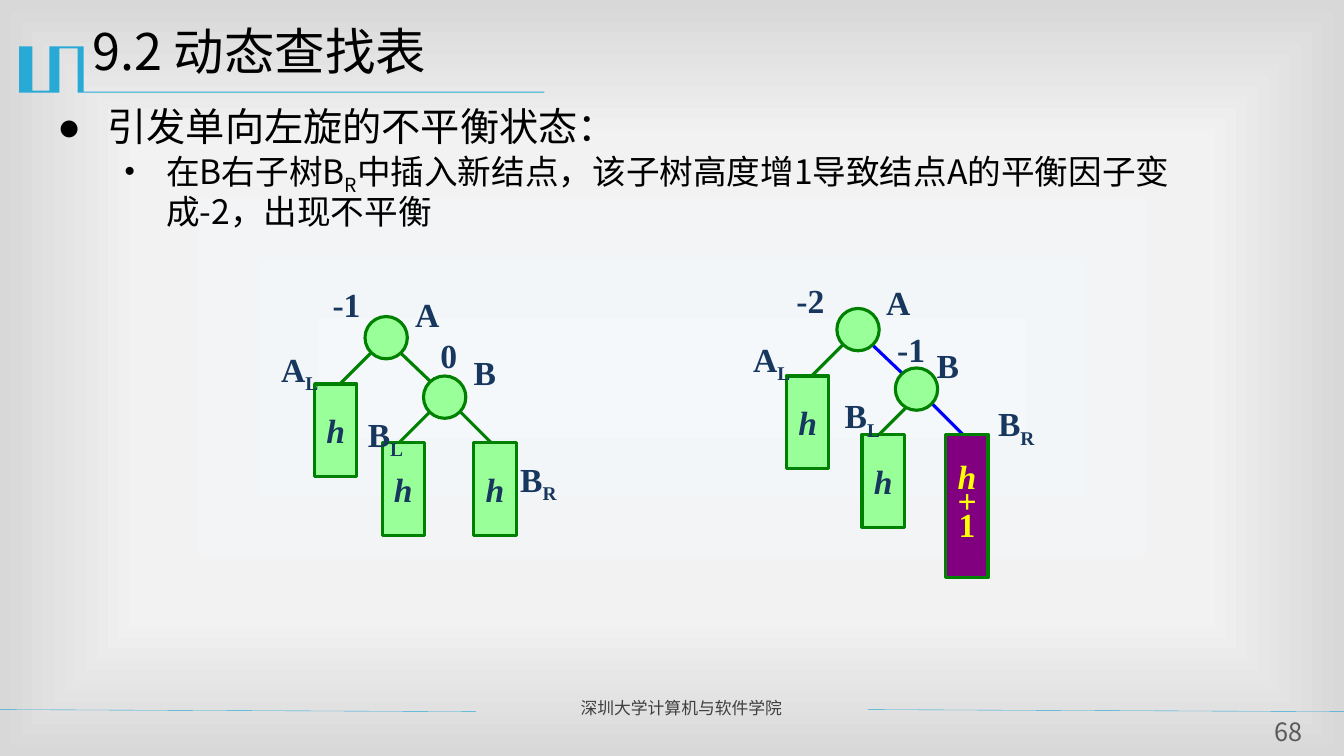
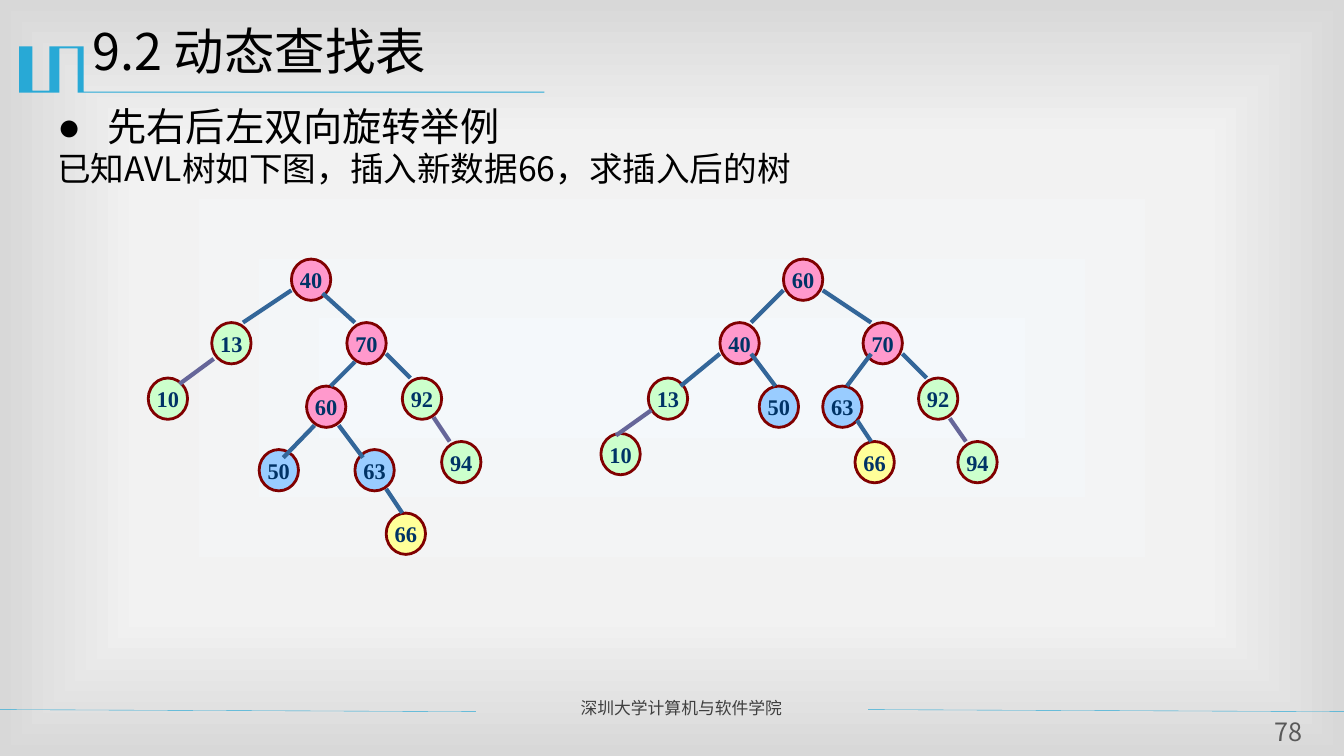
from lxml import etree
from pptx import Presentation
from pptx.dml.color import RGBColor
from pptx.enum.shapes import MSO_CONNECTOR, MSO_SHAPE
from pptx.enum.text import MSO_ANCHOR, PP_ALIGN
from pptx.oxml import parse_xml
from pptx.oxml.ns import nsdecls, qn
from pptx.util import Pt

RECT, OVAL, STRAIGHT = MSO_SHAPE.RECTANGLE, MSO_SHAPE.OVAL, MSO_CONNECTOR.STRAIGHT
CENTER, MIDDLE = PP_ALIGN.CENTER, MSO_ANCHOR.MIDDLE

PX = 9144  # 100 px to the inch
SANS, SERIF = "Noto Sans CJK SC", "Times New Roman"
ACCENT, BLACK, NAVY, INK = "28A9D6", "000000", "17375E", "003366"
GREEN, LIGHT_GREEN, BLUE, PURPLE, YELLOW = "008000", "99FF99", "0000FF", "800080", "FFFF00"
MAROON, STEEL, SLATE = "800000", "336699", "666699"
PINK, MINT, SKY, LEMON = "FF99CC", "CCFFCC", "99CCFF", "FFFF99"
BACKDROP = [(0, "F4F8FB"), (63000, "F2F2F2"), (100000, "D8D8D8")]
ORNAMENT = [(82, 46), (83, 46), (83, 91), (540, 91), (540, 92), (77, 92), (77, 48), (59, 48),
            (59, 92), (19, 92), (19, 46), (32, 46), (32, 90), (49, 90), (49, 46)]
SUB = {"sub": True}


def rgb(value):
    return RGBColor.from_string(value)


def write(frame, paragraphs, size=24, font=SERIF, color=NAVY, bold=False, italic=False,
          align=None, spacing=None):
    """Fill a frame; a paragraph is a list of strings or (text, overrides) pairs."""
    for index, runs in enumerate(paragraphs):
        paragraph = frame.paragraphs[0] if index == 0 else frame.add_paragraph()
        paragraph.alignment = align
        paragraph.line_spacing = spacing
        for item in runs:
            text, changes = (item, {}) if isinstance(item, str) else item
            run = paragraph.add_run()
            run.text = text
            run.font.size = Pt(changes.get("size", size))
            run.font.bold = bold
            run.font.italic = changes.get("italic", italic)
            run.font.color.rgb = rgb(color)
            run.font.name = font
            properties = run._r.get_or_add_rPr()
            etree.SubElement(properties, qn("a:ea")).set("typeface", font)
            if changes.get("sub"):
                properties.set("baseline", "-25000")


def add_bullet(paragraph, char, left, hanging):
    properties = paragraph._p.get_or_add_pPr()
    properties.set("marL", str(left * PX))
    properties.set("indent", str(-hanging * PX))
    etree.SubElement(properties, qn("a:buFont")).set("typeface", SERIF)
    etree.SubElement(properties, qn("a:buChar")).set("char", char)


class Deck:
    def __init__(self):
        self.prs = Presentation()
        self.prs.slide_width, self.prs.slide_height = 1333 * PX, 750 * PX
        self.slide = None
        self.set_backdrop()

    def set_backdrop(self):
        master = self.prs.slide_master
        master.background.fill.solid()
        solid = master.element.xpath(".//p:bgPr/a:solidFill")[0]
        stops = "".join(f'<a:gs pos="{pos}"><a:srgbClr val="{color}"/></a:gs>'
                        for pos, color in BACKDROP)
        solid.getparent().replace(solid, parse_xml(
            f'<a:gradFill {nsdecls("a")} rotWithShape="1"><a:gsLst>{stops}</a:gsLst>'
            '<a:path path="rect"><a:fillToRect l="50000" t="50000" r="50000" b="50000"/>'
            '</a:path></a:gradFill>'))

    def new_slide(self, title, number):
        self.slide = self.prs.slides.add_slide(self.prs.slide_layouts[6])
        builder = self.slide.shapes.build_freeform(*ORNAMENT[0], scale=PX)
        builder.add_line_segments(ORNAMENT[1:], close=True)
        self.paint(builder.convert_to_shape(), ACCENT)
        # Footer
        for left in (0, 861):
            self.line((left, 704), (left + 472, 706), ACCENT, 0.25)
        self.sans_text((566, 691, 285, 30), [["深圳大学计算机与软件学院"]], size=12,
                       color="3F3F3F", top=3)
        self.sans_text((1248, 713, 59, 31), [[number]], size=18, color="595959",
                       align=CENTER, side=0)
        # Title
        self.sans_text((82, 24, 1200, 87), [[title]], size=36)

    def paint(self, shape, fill, outline=None, weight=1):
        shape.shadow.inherit = False
        shape.fill.solid()
        shape.fill.fore_color.rgb = rgb(fill)
        if outline:
            shape.line.color.rgb = rgb(outline)
            shape.line.width = Pt(weight)
        else:
            shape.line.fill.background()

    def shape(self, kind, box, fill, outline, weight, paragraphs=(), **style):
        shape = self.slide.shapes.add_shape(kind, *(v * PX for v in box))
        self.paint(shape, fill, outline, weight)
        shape.text_frame.word_wrap = False
        shape.text_frame.vertical_anchor = MIDDLE
        write(shape.text_frame, paragraphs, bold=True, align=CENTER, **style)

    def line(self, start, end, color, weight):
        connector = self.slide.shapes.add_connector(
            STRAIGHT, *(v * PX for v in (*start, *end)))
        connector.line.color.rgb = rgb(color)
        connector.line.width = Pt(weight)
        etree.SubElement(connector.element.spPr, qn("a:effectLst"))

    def sans_text(self, box, paragraphs, top=0, side=10, color=BLACK, **style):
        frame = self.slide.shapes.add_textbox(*(v * PX for v in box)).text_frame
        frame.word_wrap = True
        frame.margin_top, frame.margin_bottom = top * PX, 0
        frame.margin_left = frame.margin_right = side * PX
        write(frame, paragraphs, font=SANS, color=color, spacing=0.95, **style)
        return frame

    def body(self, heading, detail, detail_bullet=False):
        frame = self.sans_text((47, 104, 1213, 183), [[(heading, {"size": 28})], detail], top=1)
        add_bullet(frame.paragraphs[0], "●", 50, 50)
        if detail_bullet:
            add_bullet(frame.paragraphs[1], "•", 108, 42)

    def label(self, left, top, width, *runs):
        frame = self.slide.shapes.add_textbox(
            left * PX, top * PX, width * PX, 50 * PX).text_frame
        frame.word_wrap = False
        write(frame, [runs], bold=True)

    def rotation_tree(self, x, y, labels, grown=False, left_shift=0):
        """Draw the subtree scheme around the centre (x, y) of node A."""
        path_color = BLUE if grown else GREEN
        edges = [(-13, 13, -54, 54, GREEN), (12, 13, 54, 53, path_color),
                 (46 + left_shift, 71, 4 + left_shift, 113, GREEN),
                 (71, 71, 112, 112, path_color)]
        for x1, y1, x2, y2, color in edges:
            self.line((x + x1, y + y1), (x + x2, y + y2), color, 2.25)
        for dx, dy in ((-21, -21), (37, 38)):
            self.shape(OVAL, (x + dx, y + dy, 42, 42), LIGHT_GREEN, GREEN, 2.25)
        subtrees = [(-71, 46), (-4 + left_shift, 104)] + ([] if grown else [(87, 104)])
        for dx, dy in subtrees:
            self.shape(RECT, (x + dx, y + dy, 42, 92), LIGHT_GREEN, GREEN, 2.25,
                       [["h"]], italic=True)
        if grown:
            self.shape(RECT, (x + 87, y + 104, 42, 142), PURPLE, GREEN, 2.25,
                       [["h"], ["+"], [("1", {"italic": False})]],
                       color=YELLOW, italic=True, spacing=0.6)
        for label in labels:
            self.label(*label)

    def number_tree(self, nodes, edges):
        for value, left, top, fill in nodes:
            self.shape(OVAL, (left, top, 39, 41), fill, MAROON, 2, [[value]],
                       size=16, color=INK)
        for start, end, color in edges:
            self.line(start, end, color, 3)


def main():
    deck = Deck()
    title = "9.2 动态查找表"

    # Imbalance that calls for a left rotation
    deck.new_slide(title, "68")
    deck.body("引发单向左旋的不平衡状态：",
              ["在B右子树B", ("R", SUB),
               "中插入新结点，该子树高度增1导致结点A的平衡因子变成-2，出现不平衡"],
              detail_bullet=True)
    deck.rotation_tree(383, 335, [
        (402, 287, 44, "A"), (460, 344, 42, "B"), (506, 450, 58, "B", ("R", SUB)),
        (269, 341, 59, "A", ("L", SUB)), (355, 406, 57, "B", ("L", SUB)),
        (320, 277, 48, "-1"), (427, 327, 37, "0")])
    deck.rotation_tree(851, 327, [
        (869, 275, 44, "A"), (919, 337, 42, "B"), (980, 395, 58, "B", ("R", SUB)),
        (737, 331, 59, "A", ("L", SUB)), (828, 387, 57, "B", ("L", SUB)),
        (780, 273, 48, "-2"), (880, 321, 48, "-1")], grown=True, left_shift=8)

    # Double rotation example
    deck.new_slide(title, "78")
    deck.body("先右后左双向旋转举例", ["已知AVL树如下图，插入新数据66，求插入后的树"])
    deck.number_tree(
        [("40", 289, 257, PINK), ("13", 210, 320, MINT), ("70", 344, 320, PINK),
         ("10", 147, 375, MINT), ("60", 304, 383, PINK), ("92", 399, 375, MINT),
         ("50", 257, 446, SKY), ("63", 352, 446, SKY), ("94", 438, 438, MINT),
         ("66", 383, 509, LEMON)],
        [((289, 288), (241, 320), STEEL), ((212, 356), (178, 381), SLATE),
         ((320, 291), (352, 320), STEEL), ((352, 359), (328, 383), STEEL),
         ((383, 351), (407, 375), STEEL), ((312, 422), (281, 454), STEEL),
         ((336, 422), (360, 454), STEEL), ((430, 414), (446, 438), SLATE),
         ((383, 485), (399, 509), STEEL)])
    deck.number_tree(
        [("60", 777, 257, PINK), ("40", 714, 320, PINK), ("70", 856, 320, PINK),
         ("13", 643, 375, MINT), ("50", 753, 383, SKY), ("63", 816, 383, SKY),
         ("92", 911, 375, MINT), ("10", 596, 430, MINT), ("66", 848, 438, LEMON),
         ("94", 950, 438, MINT)],
        [((777, 288), (745, 320), STEEL), ((816, 288), (864, 320), STEEL),
         ((714, 351), (675, 383), STEEL), ((745, 351), (769, 383), STEEL),
         ((864, 351), (840, 383), STEEL), ((895, 351), (919, 375), STEEL),
         ((646, 407), (611, 432), SLATE), ((850, 417), (864, 438), STEEL),
         ((942, 415), (958, 438), SLATE)])

    deck.prs.save("out.pptx")


if __name__ == "__main__":
    main()
